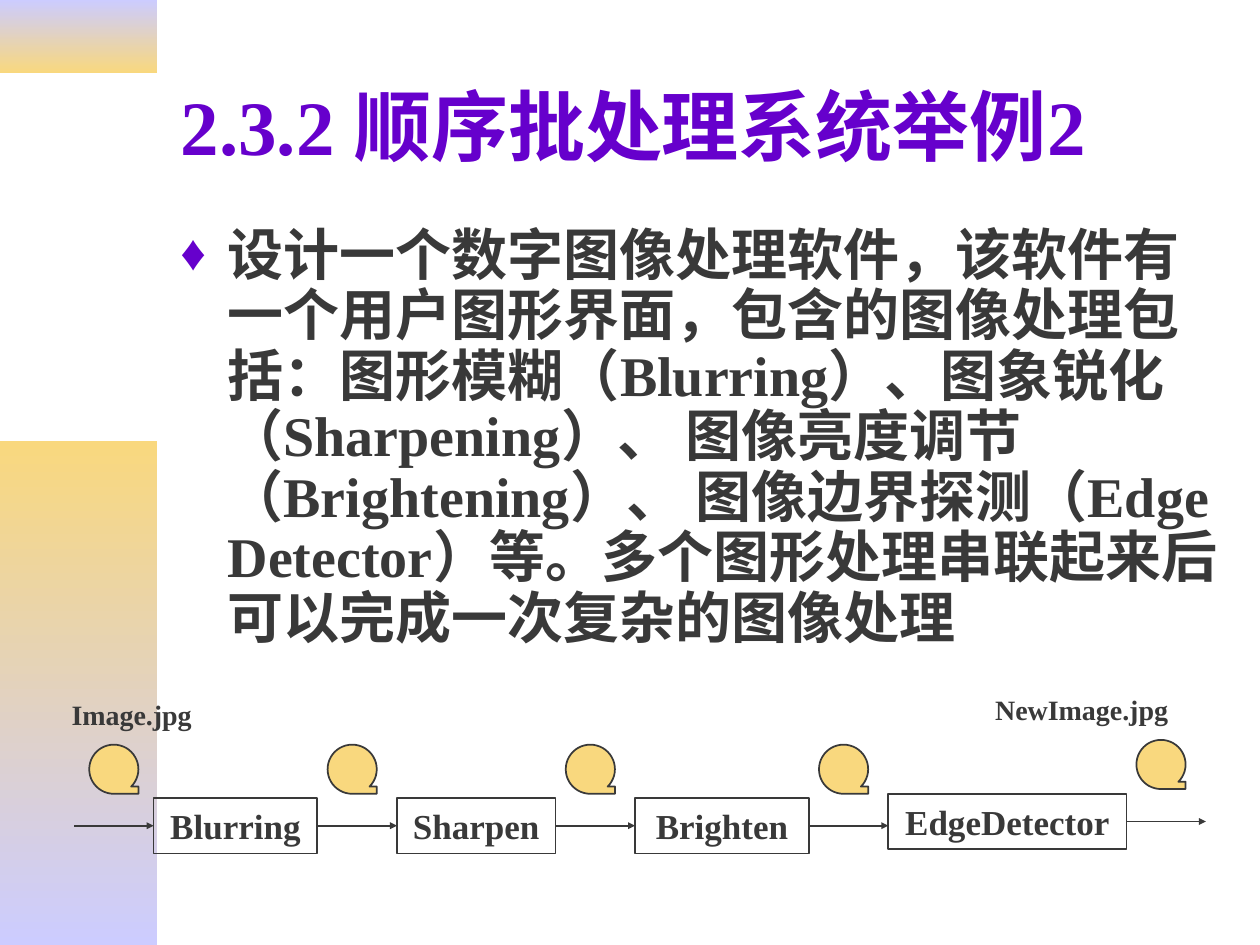
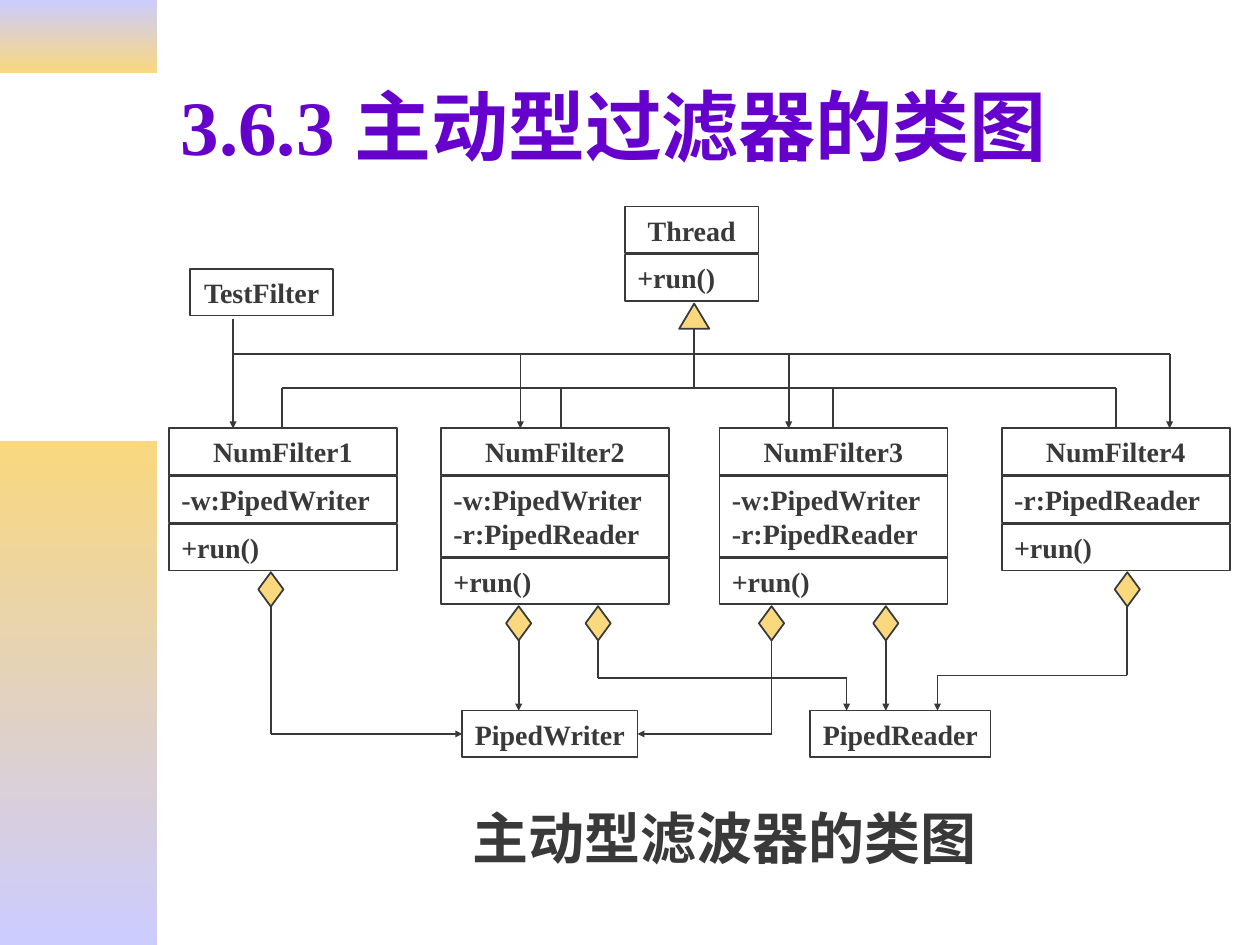
from dataclasses import dataclass

from pptx import Presentation
from pptx.dml.color import RGBColor
from pptx.enum.lang import MSO_LANGUAGE_ID as Language
from pptx.enum.shapes import MSO_CONNECTOR as Connector, MSO_SHAPE as Preset
from pptx.enum.text import MSO_ANCHOR as Anchor, MSO_AUTO_SIZE as AutoSize, PP_ALIGN as Align
from pptx.oxml.ns import qn
from pptx.util import Pt
from lxml.etree import SubElement

FONT = "Times New Roman"
INK, VIOLET, GOLD, LILAC = "393939", "6600CC", "F9D87E", "CCCCFF"
TOP, LEFT, BOTTOM, RIGHT = range(4)
ROW_HEIGHT = 26.6
EXTRA_LINE = 19.4
ROW_GAP = 0.7


@dataclass(frozen=True)
class Box:
    left: float
    top: float
    width: float
    height: float

    @property
    def middle(self) -> float:
        return self.top + self.height / 2

    @property
    def bottom(self) -> float:
        return self.top + self.height

    def lengths(self) -> list:
        return [Pt(value) for value in (self.left, self.top, self.width, self.height)]


@dataclass(frozen=True)
class Band:
    box: Box
    upper: str
    lower: str


@dataclass(frozen=True)
class Stage:
    name: str
    box: Box


@dataclass(frozen=True)
class ClassBox:
    """A UML class: its name, then one row for each further text."""
    left: float
    top: float
    width: float
    name: str
    rows: tuple


@dataclass(frozen=True)
class Aggregation:
    """A diamond below a class, and the route from it to a pipe class."""
    owner: int
    x: float
    route: tuple
    target: str = ""
    site: int = LEFT


BANDS = (
    Band(Box(0, 0, 90, 41.8), LILAC, GOLD),
    Band(Box(0, 252, 90, 288), GOLD, LILAC),
)


def color(value: str) -> RGBColor:
    return RGBColor.from_string(value)


def write(shape, text: str, *, size: float = 16, ink: str = INK, align=Align.LEFT,
          anchor=Anchor.MIDDLE, wrap: bool = True, spacing: float = 1.0,
          bullet: str = "") -> None:
    frame = shape.text_frame
    frame.text = text
    frame.word_wrap = wrap
    frame.auto_size = AutoSize.NONE
    frame.vertical_anchor = anchor
    for paragraph in frame.paragraphs:
        if bullet:
            add_bullet(paragraph, bullet)
        paragraph.alignment = align
        paragraph.line_spacing = spacing
        for run in paragraph.runs:
            font = run.font
            font.name, font.size, font.bold = FONT, Pt(size), True
            font.color.rgb = color(ink)
            font.language_id = Language.SIMPLIFIED_CHINESE


def add_bullet(paragraph, character: str) -> None:
    properties = paragraph._p.get_or_add_pPr()
    properties.set("marL", str(Pt(27)))
    properties.set("indent", str(Pt(-27)))
    bullet_color = SubElement(properties, qn("a:buClr"))
    SubElement(bullet_color, qn("a:srgbClr")).set("val", VIOLET)
    SubElement(properties, qn("a:buSzPct")).set("val", "90000")
    SubElement(properties, qn("a:buFont")).set("typeface", FONT)
    SubElement(properties, qn("a:buChar")).set("char", character)


def add_preset(slide, preset, box: Box, fill: str = ""):
    shape = slide.shapes.add_shape(preset, *box.lengths())
    shape.shadow.inherit = False
    if fill:
        shape.fill.solid()
        shape.fill.fore_color.rgb = color(fill)
    else:
        shape.fill.background()
    shape.line.color.rgb = color(INK)
    shape.line.width = Pt(1)
    return shape


def add_framed_text(slide, box: Box, text: str, **text_format):
    shape = add_preset(slide, Preset.RECTANGLE, box)
    write(shape, text, **text_format)
    return shape


def add_label(slide, box: Box, text: str, **text_format) -> None:
    write(slide.shapes.add_textbox(*box.lengths()), text, **text_format)


def add_line(slide, start: tuple, end: tuple, arrow: bool = False,
             begin_join: tuple = (), end_join: tuple = ()) -> None:
    """Draw a straight line; each join is a shape and one of its sides."""
    line = slide.shapes.add_connector(
        Connector.STRAIGHT, *(Pt(value) for value in (*start, *end)))
    line.line.color.rgb = color(INK)
    line.line.width = Pt(1)
    SubElement(line._element.spPr, qn("a:effectLst"))
    if arrow:
        head = SubElement(line.line._get_or_add_ln(), qn("a:tailEnd"))
        for key, value in (("type", "triangle"), ("w", "sm"), ("len", "sm")):
            head.set(key, value)
    if begin_join:
        line.begin_connect(*begin_join)
    if end_join:
        line.end_connect(*end_join)


def add_route(slide, points: list, begin_join: tuple, end_join: tuple) -> None:
    """Draw a chain of straight lines with an arrowhead on the last."""
    last = len(points) - 2
    for index, (start, end) in enumerate(zip(points, points[1:])):
        add_line(slide, start, end, arrow=index == last,
                 begin_join=begin_join if index == 0 else (),
                 end_join=end_join if index == last else ())


def add_titled_slide(presentation, title: str):
    slide = presentation.slides.add_slide(presentation.slide_layouts[5])
    for band in BANDS:
        shape = add_preset(slide, Preset.RECTANGLE, band.box)
        shape.line.fill.background()
        shape.fill.gradient()
        shape.fill.gradient_angle = 270
        for stop, position, value in zip(shape.fill.gradient_stops, (0, 1),
                                         (band.upper, band.lower)):
            stop.position = position
            stop.color.rgb = color(value)
    heading = slide.shapes.title
    heading.left, heading.top, heading.width, heading.height = Box(96, 24, 612, 95).lengths()
    write(heading, title, size=44, ink=VIOLET)
    return slide


def add_class(slide, class_box: ClassBox) -> float:
    """Stack the rows of a class and return where its last row ends."""
    top = class_box.top
    for index, text in enumerate((class_box.name, *class_box.rows)):
        box = Box(class_box.left, top, class_box.width,
                  ROW_HEIGHT + EXTRA_LINE * text.count("\n"))
        add_framed_text(slide, box, text, align=Align.LEFT if index else Align.CENTER)
        top = box.bottom + ROW_GAP
    return top - ROW_GAP


def build_batch_slide(presentation) -> None:
    slide = add_titled_slide(presentation, "2.3.2 顺序批处理系统举例2")
    add_label(
        slide, Box(96, 126, 612, 274.5),
        "设计一个数字图像处理软件，该软件有一个用户图形界面，包含的图像处理包括："
        "图形模糊（Blurring）、图象锐化（Sharpening）、 图像亮度调节（Brightening）、 "
        "图像边界探测（Edge Detector）等。多个图形处理串联起来后可以完成一次复杂的图像处理",
        size=32, anchor=Anchor.TOP, spacing=0.9, bullet="♦")

    stages = (
        Stage("Blurring", Box(87.8, 456, 93.6, 31.7)),
        Stage("Sharpen", Box(226.8, 456, 90.7, 31.7)),
        Stage("Brighten", Box(362.9, 456, 99.4, 31.7)),
        Stage("EdgeDetector", Box(507.6, 453.6, 136.1, 31.7)),
    )
    shapes = [add_framed_text(slide, stage.box, stage.name, size=20, align=Align.CENTER)
              for stage in stages]
    first = stages[0].box
    add_line(slide, (first.left - 45.4, first.middle), (first.left, first.middle),
             arrow=True, end_join=(shapes[0], LEFT))
    for index, stage in enumerate(stages):
        box = stage.box
        start_x = box.left + box.width
        end_x, end_join = start_x + 45.4, ()
        if index + 1 < len(stages):
            following = stages[index + 1].box
            end_x = following.left
            if following.middle == box.middle:
                end_join = (shapes[index + 1], LEFT)
        add_line(slide, (start_x, box.middle), (end_x, box.middle), arrow=True,
                 begin_join=(shapes[index], RIGHT), end_join=end_join)

    for left, top in ((51, 425.5), (187.2, 425.5), (323.3, 425.5), (468, 425.5), (649.4, 422.8)):
        add_preset(slide, Preset.FLOWCHART_SEQUENTIAL_ACCESS_STORAGE,
                   Box(left, top, 28.1, 28.1), GOLD)
    add_label(slide, Box(33.8, 394.8, 102.2, ROW_HEIGHT), "Image.jpg")
    add_label(slide, Box(561.6, 391.9, 118.8, ROW_HEIGHT), "NewImage.jpg")


def build_class_slide(presentation) -> None:
    slide = add_titled_slide(presentation, "3.6.3 主动型过滤器的类图")
    add_label(slide, Box(108, 460, 612, 45.4), "主动型滤波器的类图", size=32,
              align=Align.CENTER, anchor=Anchor.TOP, spacing=0.9)

    writer, reader, run = "-w:PipedWriter", "-r:PipedReader", "+run()"
    both = f"{writer}\n{reader}"
    filter_top = 244.8
    add_class(slide, ClassBox(357.1, 118.1, 76.3, "Thread", (run,)))
    bottoms = [
        add_class(slide, ClassBox(left, filter_top, 130.3, f"NumFilter{number}", (fields, run)))
        for number, (left, fields) in enumerate(
            ((96.5, writer), (252, both), (411.1, both), (572.4, reader)), start=1)
    ]

    pipe_top = 406.1
    pipe_middle = pipe_top + ROW_HEIGHT / 2
    plain = {
        name: add_framed_text(slide, Box(left, top, width, ROW_HEIGHT), name,
                              align=Align.CENTER, wrap=False)
        for name, left, top, width in (
            ("TestFilter", 108.7, 153.8, 81.7),
            ("PipedWriter", 264.2, pipe_top, 100.1),
            ("PipedReader", 463, pipe_top, 103))
    }

    thread_x, parent_bus_y = 396.7, 221.8
    child_xs = (161.3, 320.4, 476, 637.9)
    add_preset(slide, Preset.ISOSCELES_TRIANGLE, Box(thread_x - 8.6, 173.5, 17.2, 14.4), GOLD)
    add_line(slide, (thread_x, 187.9), (thread_x, parent_bus_y))
    add_line(slide, (child_xs[0], parent_bus_y), (child_xs[-1], parent_bus_y))
    for x in child_xs:
        add_line(slide, (x, parent_bus_y), (x, filter_top))

    test_bus_y = 202.4
    used_xs = (133.2, 297.4, 450.7, 668.4)
    add_line(slide, (used_xs[0], test_bus_y), (used_xs[-1], test_bus_y))
    for x in used_xs:
        start_y = 182.2 if x == used_xs[0] else test_bus_y
        add_line(slide, (x, start_y), (x, filter_top), arrow=True)

    aggregations = (
        Aggregation(0, 154.8, ((154.8, pipe_middle), (264.2, pipe_middle)), "PipedWriter", LEFT),
        Aggregation(1, 296.4, ((296.4, pipe_top),)),
        Aggregation(1, 341.8, ((341.8, 387.4), (483.8, 387.4), (483.8, pipe_top))),
        Aggregation(2, 440.9, ((440.9, pipe_middle), (364.3, pipe_middle)), "PipedWriter", RIGHT),
        Aggregation(2, 506.2, ((506.2, pipe_top),)),
        Aggregation(3, 644.2, ((644.2, 386), (535.7, 386), (535.7, pipe_top))),
    )
    for aggregation in aggregations:
        box = Box(aggregation.x - 7.2, bottoms[aggregation.owner] + 1, 14.4, 19.6)
        diamond = add_preset(slide, Preset.DIAMOND, box, GOLD)
        end_join = (plain[aggregation.target], aggregation.site) if aggregation.target else ()
        add_route(slide, [(aggregation.x, box.bottom), *aggregation.route],
                  (diamond, BOTTOM), end_join)


def main() -> None:
    presentation = Presentation()
    presentation.slide_width, presentation.slide_height = Pt(720), Pt(540)
    build_batch_slide(presentation)
    build_class_slide(presentation)
    presentation.save("out.pptx")


if __name__ == "__main__":
    main()
